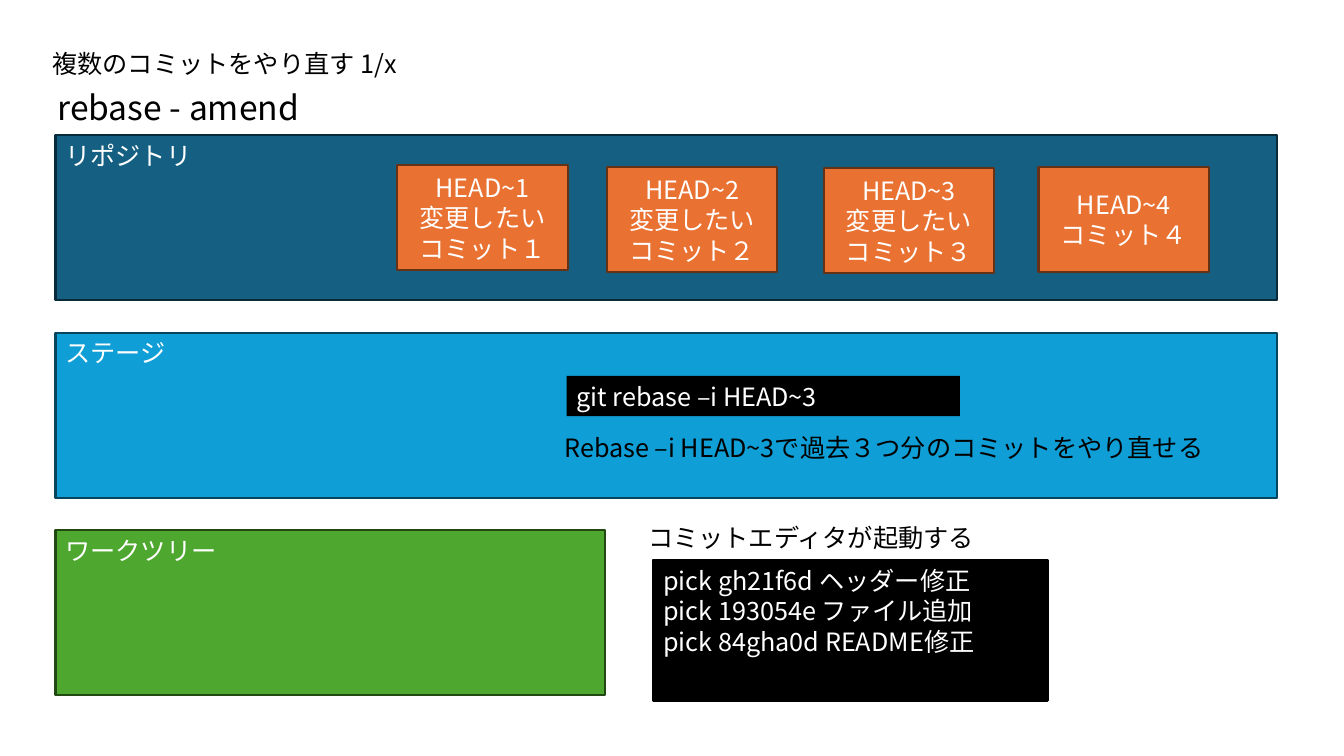
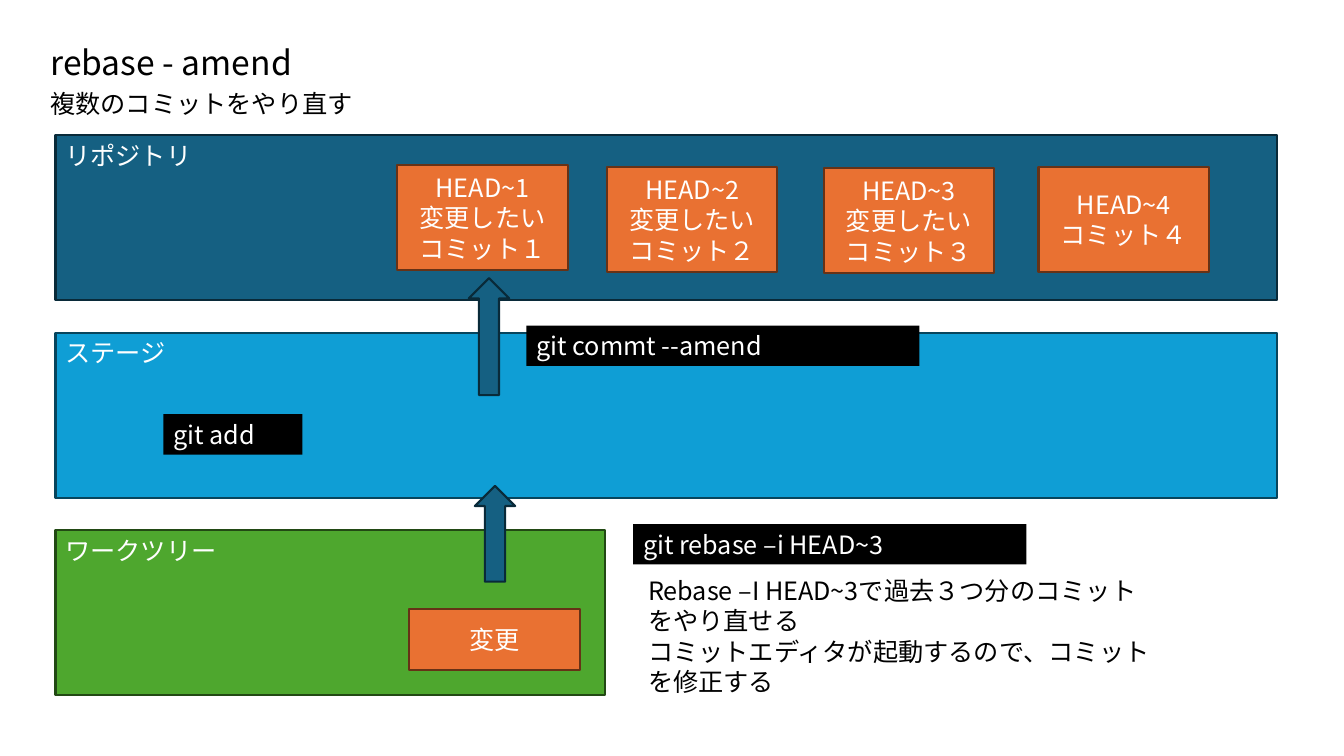
"""Build two slides on redoing several git commits with rebase and amend."""
from lxml import etree
from pptx import Presentation
from pptx.dml.color import RGBColor
from pptx.enum import shapes, text
from pptx.oxml.ns import qn
from pptx.util import Inches, Pt

FONT = "Noto Sans CJK JP"
BLACK = RGBColor(0x00, 0x00, 0x00)
WHITE = RGBColor(0xFF, 0xFF, 0xFF)
NAVY = RGBColor(0x15, 0x60, 0x82)
NAVY_EDGE = RGBColor(0x09, 0x2A, 0x39)
BLUE = RGBColor(0x0F, 0x9E, 0xD5)
BLUE_EDGE = RGBColor(0x07, 0x45, 0x5D)
GREEN = RGBColor(0x4E, 0xA7, 0x2E)
GREEN_EDGE = RGBColor(0x22, 0x49, 0x14)
ORANGE = RGBColor(0xE9, 0x71, 0x32)
ORANGE_EDGE = RGBColor(0x66, 0x32, 0x16)

TITLE = "rebase - amend"
BAND_LEFT, BAND_TOP, BAND_STEP, BAND_HIGH = 0.55, 1.34, 1.96, 1.64
BANDS = [
    ("リポジトリ", 12.12, NAVY, NAVY_EDGE),
    ("ステージ", 12.12, BLUE, BLUE_EDGE),
    ("ワークツリー", 5.45, GREEN, GREEN_EDGE),
]
COMMITS = [
    (3.94, 1.64, "HEAD~1\n変更したい\nコミット１"),
    (6.02, 1.66, "HEAD~2\n変更したい\nコミット２"),
    (8.17, 1.67, "HEAD~3\n変更したい\nコミット３"),
    (10.3, 1.66, "HEAD~4\nコミット４"),
]
SLIDES = [
    {
        "title": (0.47, 0.81),
        "notes": [
            ((0.42, 0.43, 5.21, 0.4), "複数のコミットをやり直す 1/x"),
            ((6.33, 5.13, 6.27, 0.4), "コミットエディタが起動する"),
            ((5.5, 4.24, 7.17, 0.4), "Rebase –i HEAD~3で過去３つ分のコミットをやり直せる"),
        ],
        "codes": [
            ((5.62, 3.73, 3.9, 0.4), "git rebase –i HEAD~3"),
            ((6.48, 5.56, 3.91, 1.39),
             "pick gh21f6d ヘッダー修正\npick 193054e ファイル追加\npick 84gha0d README修正"),
        ],
        "changes": [],
        "arrows": [],
    },
    {
        "title": (0.4, 0.37),
        "notes": [
            ((0.4, 0.83, 3.46, 0.4), "複数のコミットをやり直す"),
            ((6.33, 5.66, 5.24, 1.31),
             "Rebase –I HEAD~3で過去３つ分のコミットをやり直せる\n"
             "コミットエディタが起動するので、コミットを修正する"),
        ],
        "codes": [
            ((5.22, 3.23, 3.9, 0.4), "git commt --amend"),
            ((1.62, 4.11, 1.38, 0.4), "git add"),
            ((6.28, 5.2, 3.9, 0.4), "git rebase –i HEAD~3"),
        ],
        "changes": [((4.06, 6.04, 1.69, 0.61), "変更")],
        "arrows": [(4.71, 4.82, 0.4, 0.95), (4.65, 2.76, 0.4, 1.16)],
    },
]


def write(item, words, color, size=18, center=False, wrap=True):
    """Fill a shape with styled text."""
    frame = item.text_frame
    frame.text = words
    frame.auto_size = text.MSO_AUTO_SIZE.NONE
    frame.word_wrap = wrap
    frame.vertical_anchor = text.MSO_ANCHOR.MIDDLE if center else text.MSO_ANCHOR.TOP
    for para in frame.paragraphs:
        para.alignment = text.PP_ALIGN.CENTER if center else text.PP_ALIGN.LEFT
        for run in para.runs:
            run.font.name = FONT
            run.font.size = Pt(size)
            run.font.color.rgb = color
            east = etree.SubElement(run.font._element, qn("a:ea"))
            east.set("typeface", FONT)


def draw(slide, box, fill, edge, kind=shapes.MSO_SHAPE.RECTANGLE):
    """Add a flat preset shape."""
    item = slide.shapes.add_shape(kind, *map(Inches, box))
    item.shadow.inherit = False
    item.fill.solid()
    item.fill.fore_color.rgb = fill
    item.line.color.rgb = edge
    item.line.width = Pt(1.5)
    return item


def build(deck, data):
    """Add one slide with the shared bands and commits."""
    slide = deck.slides.add_slide(deck.slide_layouts[5])
    title = slide.shapes.title
    left, top = data["title"]
    title.left, title.top = Inches(left), Inches(top)
    title.width, title.height = Inches(2.8), Inches(0.5)
    write(title, TITLE, BLACK, size=24, wrap=False)

    for row, (name, wide, fill, edge) in enumerate(BANDS):
        box = (BAND_LEFT, BAND_TOP + row * BAND_STEP, wide, BAND_HIGH)
        write(draw(slide, box, fill, edge), name, WHITE)

    commits = [((x, y, 1.69, 1.04), words) for x, y, words in COMMITS]
    for box, words in commits + data["changes"]:
        write(draw(slide, box, ORANGE, ORANGE_EDGE), words, WHITE, center=True)
    for box in data["arrows"]:
        draw(slide, box, NAVY, NAVY_EDGE, shapes.MSO_SHAPE.UP_ARROW)
    for box, words in data["codes"]:
        code = draw(slide, box, BLACK, BLACK)
        if box[3] < 1:
            code.line.fill.background()
        write(code, words, WHITE)
    for box, words in data["notes"]:
        write(slide.shapes.add_textbox(*map(Inches, box)), words, BLACK)


def main():
    """Build and save the deck."""
    deck = Presentation()
    deck.slide_width, deck.slide_height = Inches(13.33), Inches(7.5)
    for data in SLIDES:
        build(deck, data)
    deck.save("out.pptx")


if __name__ == "__main__":
    main()
